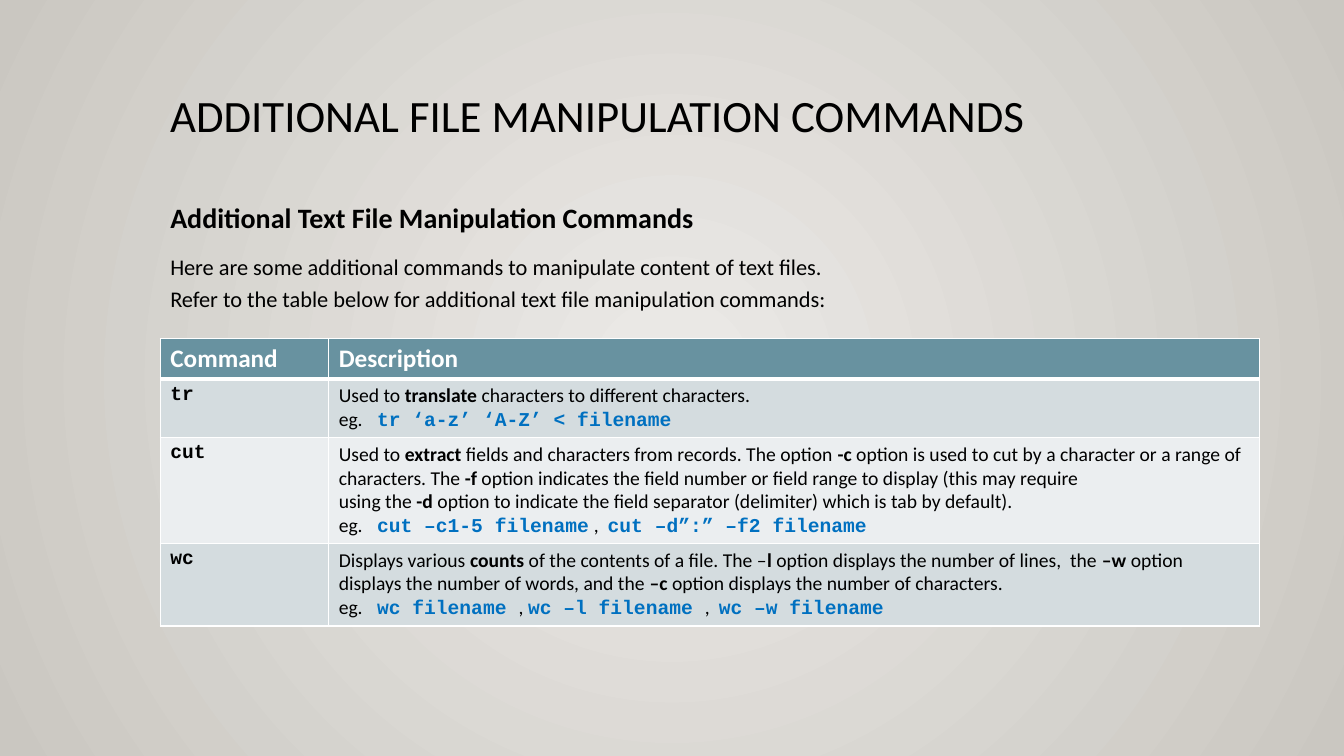
from copy import deepcopy

from lxml.etree import SubElement
from pptx import Presentation
from pptx.dml.color import RGBColor
from pptx.enum.text import MSO_ANCHOR
from pptx.oxml.ns import qn
from pptx.util import Inches, Pt

BLACK = RGBColor(0x00, 0x00, 0x00)
WHITE = RGBColor(0xFF, 0xFF, 0xFF)
BLUE = RGBColor(0x00, 0x70, 0xC0)
TEAL = RGBColor(0x68, 0x92, 0xA0)
BAND_DARK = RGBColor(0xD4, 0xDC, 0xDF)
BAND_LIGHT = RGBColor(0xEB, 0xEE, 0xF0)
GLOW = RGBColor(0xEC, 0xEA, 0xE7)
EDGE = RGBColor(0xCA, 0xC7, 0xC1)

PLAIN = {"name": "Calibri", "bold": False, "color": BLACK}
BOLD = {**PLAIN, "bold": True}
HEADER = {**BOLD, "color": WHITE}
NAME = {**BOLD, "name": "Courier New"}
CODE = {**NAME, "color": BLUE}

COLUMN_WIDTHS = (1.67, 9.23)
ROW_HEIGHTS = (0.4, 0.58, 1.05, 0.82)
EXAMPLE_TAB = 0.38

COMMANDS = [
    ("tr", [
        (PLAIN, "Used to "), (BOLD, "translate"),
        (PLAIN, " characters to different characters.\neg.\t"),
        (CODE, "tr ‘a-z’ ‘A-Z’ < filename"),
    ]),
    ("cut", [
        (PLAIN, "Used to "), (BOLD, "extract"),
        (PLAIN, " fields and characters from records. The option "), (BOLD, "-c"),
        (PLAIN, " option is used to cut by a character or a range of characters. The "),
        (BOLD, "-f"),
        (PLAIN, " option indicates the field number or field range to display "
                "(this may require \nusing the "),
        (BOLD, "-d"),
        (PLAIN, " option to indicate the field separator (delimiter) "
                "which is tab by default).\neg.\t"),
        (CODE, "cut –c1-5 filename"), (PLAIN, " ,  "),
        (CODE, "cut –d”:” –f2 filename"),
    ]),
    ("wc", [
        (PLAIN, "Displays various "), (BOLD, "counts"),
        (PLAIN, " of the contents of a file. The –"), (BOLD, "l "),
        (PLAIN, "option displays the number of lines,  the "), (BOLD, "–w"),
        (PLAIN, " option displays the number of words, and the "), (BOLD, "–c"),
        (PLAIN, " option displays the number of characters.\neg.\t"),
        (CODE, "wc filename "), (PLAIN, ", "),
        (CODE, "wc –l filename "), (PLAIN, ",  "),
        (CODE, "wc –w filename"),
    ]),
]


class SlideBuilder:
    def __init__(self, slide):
        self.slide = slide

    def radial_background(self, centre, edge):
        fill = self.slide.background.fill
        fill.gradient()
        for stop, color in zip(fill.gradient_stops, (centre, edge)):
            stop.color.rgb = color
        gradient = self.slide.element.find(".//" + qn("a:gradFill"))
        gradient.remove(gradient.find(qn("a:lin")))
        circle = SubElement(gradient, qn("a:path"), {"path": "circle"})
        SubElement(circle, qn("a:fillToRect"),
                   {side: "50000" for side in "ltrb"})

    def add_runs(self, paragraph, runs, size):
        """Add styled runs, turning each newline into a line break of the same size."""
        for style, text in runs:
            for index, line in enumerate(text.split("\n")):
                run = paragraph.add_run()
                run.text = line
                run.font.size = Pt(size)
                for key, value in style.items():
                    if key == "color":
                        run.font.color.rgb = value
                    else:
                        setattr(run.font, key, value)
                if index:
                    line_break = SubElement(paragraph._p, qn("a:br"))
                    line_break.append(deepcopy(run._r.rPr))
                    run._r.addprevious(line_break)

    def text(self, box, paragraphs, **spacing):
        frame = self.slide.shapes.add_textbox(*map(Inches, box)).text_frame
        frame.word_wrap = True
        frame.vertical_anchor = MSO_ANCHOR.TOP
        for index, (style, size, text) in enumerate(paragraphs):
            paragraph = frame.add_paragraph() if index else frame.paragraphs[0]
            for key, value in spacing.items():
                setattr(paragraph, key, value)
            self.add_runs(paragraph, [(style, text)], size)

    def border(self, cell, side, width):
        line = SubElement(cell._tc.get_or_add_tcPr(), qn("a:ln" + side),
                          w=str(Pt(width)))
        SubElement(SubElement(line, qn("a:solidFill")), qn("a:srgbClr"),
                   val=str(WHITE))

    def cell(self, cell, runs, size, fill, top=1, bottom=1):
        for side, width in {"L": 1, "R": 1, "T": top, "B": bottom}.items():
            self.border(cell, side, width)
        cell.fill.solid()
        cell.fill.fore_color.rgb = fill
        paragraph = cell.text_frame.paragraphs[0]
        tabs = SubElement(paragraph._p.get_or_add_pPr(), qn("a:tabLst"))
        SubElement(tabs, qn("a:tab"), pos=str(Inches(EXAMPLE_TAB)), algn="l")
        self.add_runs(paragraph, runs, size)

    def command_table(self, left, top):
        table = self.slide.shapes.add_table(
            len(ROW_HEIGHTS), len(COLUMN_WIDTHS), Inches(left), Inches(top),
            Inches(sum(COLUMN_WIDTHS)), Inches(sum(ROW_HEIGHTS))).table
        for column, width in zip(table.columns, COLUMN_WIDTHS):
            column.width = Inches(width)
        for row, height in zip(table.rows, ROW_HEIGHTS):
            row.height = Inches(height)
        for column, heading in enumerate(("Command", "Description")):
            self.cell(table.cell(0, column), [(HEADER, heading)], 18, TEAL, bottom=3)
        for row, (command, description) in enumerate(COMMANDS, 1):
            band = BAND_DARK if row % 2 else BAND_LIGHT
            top_width = 3 if row == 1 else 1
            for column, runs in enumerate(([(NAME, command)], description)):
                self.cell(table.cell(row, column), runs, 14, band, top=top_width)


def main():
    deck = Presentation()
    deck.slide_width, deck.slide_height = Inches(13.33), Inches(7.5)
    builder = SlideBuilder(deck.slides.add_slide(deck.slide_layouts[6]))
    builder.radial_background(GLOW, EDGE)
    builder.text((1.59, 0.88, 10.5, 1.15),
                 [(PLAIN, 32, "ADDITIONAL FILE MANIPULATION COMMANDS")],
                 line_spacing=0.9)
    builder.text((1.59, 1.87, 9.99, 5.2), [
        (BOLD, 20, "Additional Text File Manipulation Commands"),
        (PLAIN, 16, "Here are some additional commands to manipulate content of text files.\n"
                    "Refer to the table below for additional text file manipulation commands:"),
    ], line_spacing=1.2, space_before=Pt(10))
    builder.command_table(1.59, 3.36)
    deck.save("out.pptx")


if __name__ == "__main__":
    main()
